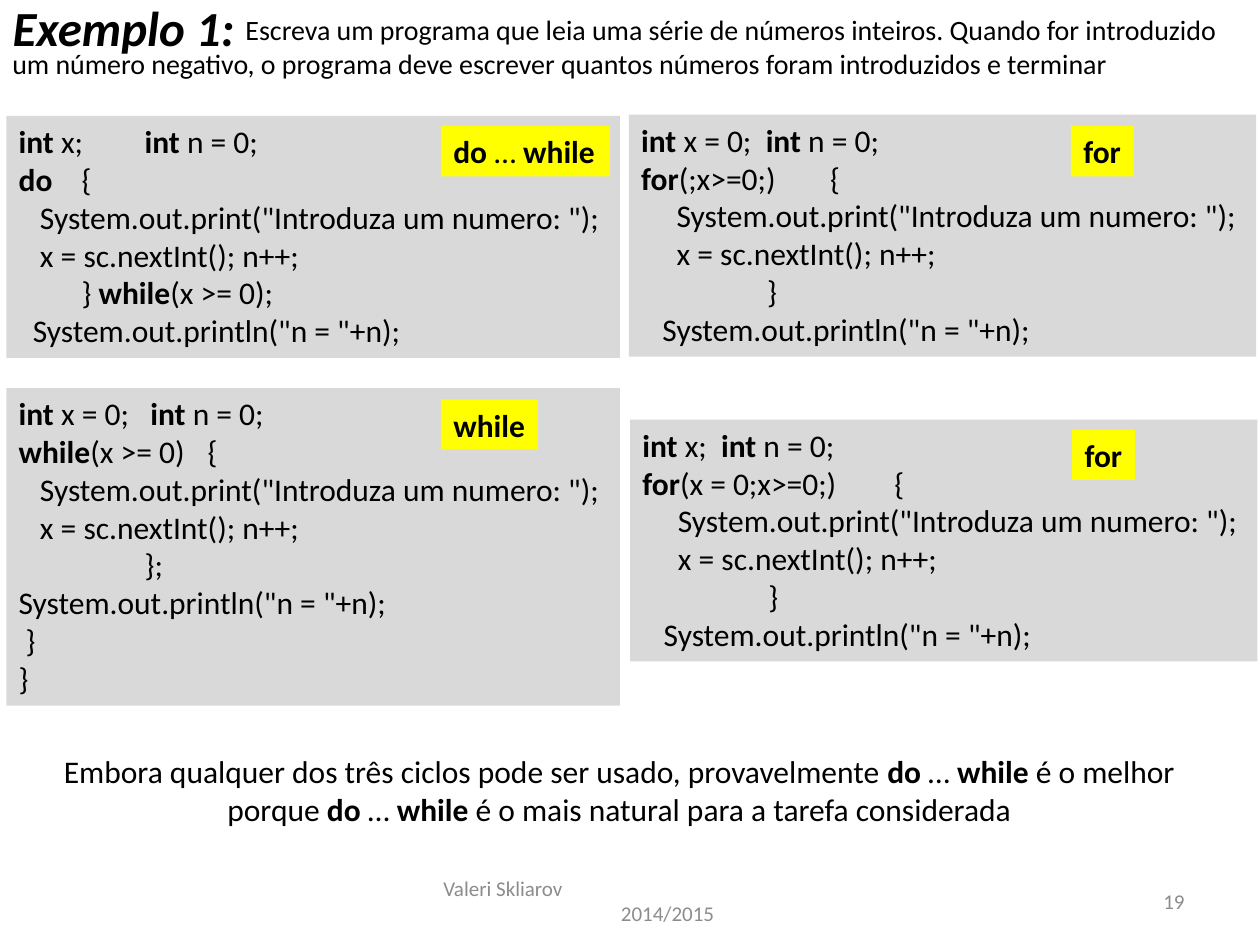
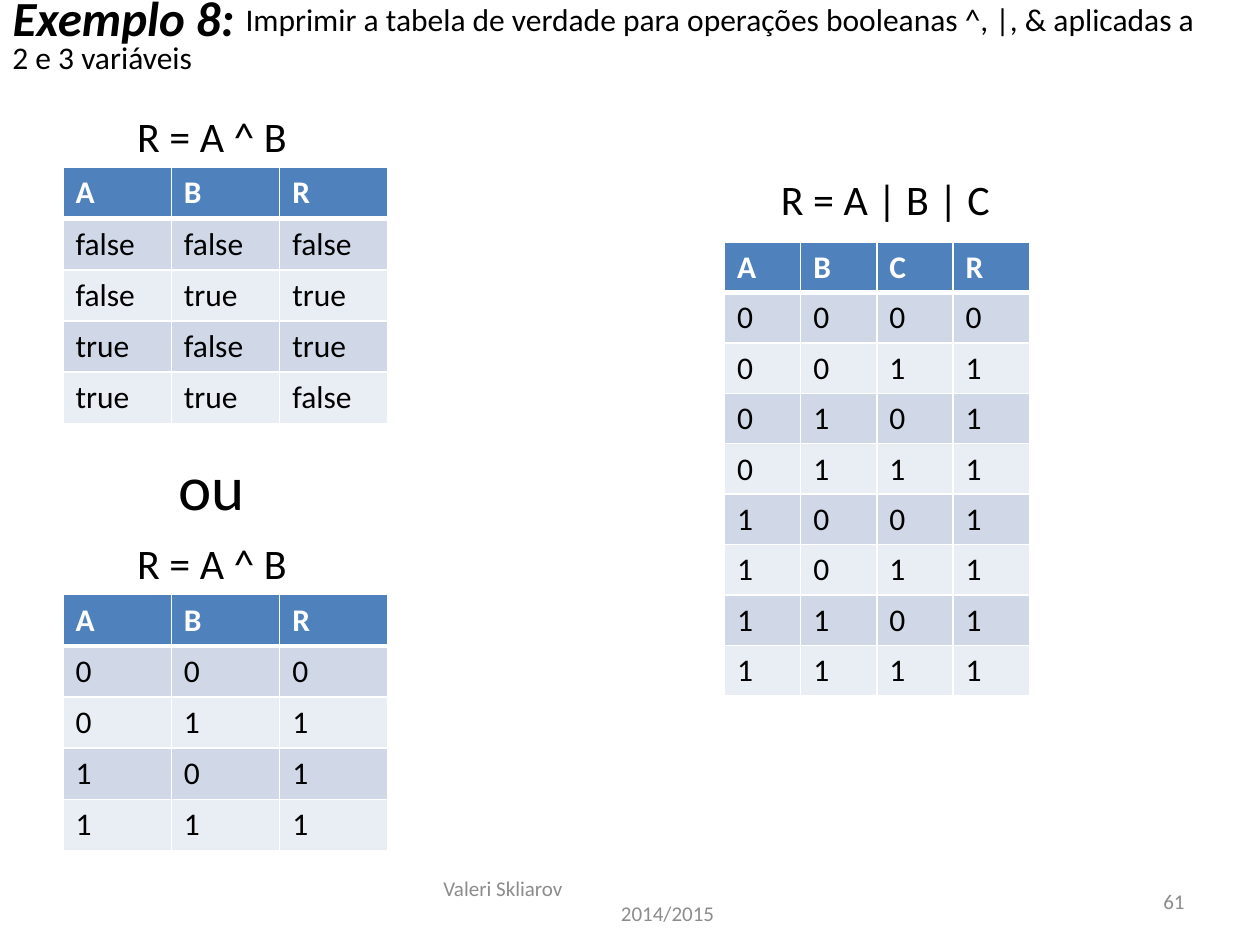
from pptx import Presentation
from pptx.dml.color import RGBColor
from pptx.enum.text import MSO_ANCHOR, MSO_AUTO_SIZE, PP_ALIGN
from pptx.oxml.ns import qn
from pptx.util import Inches, Pt
from lxml import etree

LEFT, MID, RIGHT = PP_ALIGN.LEFT, PP_ALIGN.CENTER, PP_ALIGN.RIGHT
TOP, CENTER = MSO_ANCHOR.TOP, MSO_ANCHOR.MIDDLE
GROW, FIXED = MSO_AUTO_SIZE.SHAPE_TO_FIT_TEXT, MSO_AUTO_SIZE.NONE


class Theme:
    font = "Calibri"
    ink, white, gray = "000000", "FFFFFF", "8C8C8C"
    panel, tag = "D9D9D9", "FFFF00"
    head, bands = "4F81BD", ("D0D8E8", "E9EDF4")
    note, small, body, label, title, big = 12, 16, 18, 24, 28, 36


def write(frame, text, size=Theme.body, color=Theme.ink, bold=False, italic=False,
          align=LEFT, indent=0):
    for i, line in enumerate(text.split("\n")):
        para = frame.add_paragraph() if i else frame.paragraphs[0]
        para.alignment = align
        if indent:
            para._p.get_or_add_pPr().set("indent", str(Inches(indent)))
        for j, part in enumerate(line.split("*")):
            if part:
                run = para.add_run()
                run.text = part
                font = run.font
                font.name, font.size = Theme.font, Pt(size)
                font.bold, font.italic = bold or j % 2 == 1, italic
                font.color.rgb = RGBColor.from_string(color)


def box(slide, at, text, fill=None, wrap=False, fit=GROW, anchor=TOP, **form):
    shape = slide.shapes.add_textbox(*map(Inches, at))
    frame = shape.text_frame
    frame.word_wrap, frame.auto_size, frame.vertical_anchor = wrap, fit, anchor
    if fill:
        shape.fill.solid()
        shape.fill.fore_color.rgb = RGBColor.from_string(fill)
    write(frame, text, **form)
    return shape


deck = Presentation()
deck.slide_width, deck.slide_height = Inches(10), Inches(7.5)

heads = [
    ("19", "Exemplo 1:", -0.07, (0, 0.05, 10, 0.64), Theme.small,
     "Escreva um programa que leia uma série de números inteiros. Quando for introduzido "
     "um número negativo, o programa deve escrever quantos números foram introduzidos e terminar"),
    ("61", "Exemplo 8:", -0.15, (0, -0.05, 9.75, 0.71), Theme.body,
     "Imprimir a tabela de verdade para operações booleanas ^, |, & aplicadas a 2 e 3 variáveis"),
]
slides = []
for page, name, top, area, size, intro in heads:
    slide = deck.slides.add_slide(deck.slide_layouts[5])
    slides.append(slide)
    title = slide.shapes.title
    title.left, title.top = Inches(0), Inches(top)
    title.width, title.height = Inches(2), Inches(0.57)
    frame = title.text_frame
    frame.word_wrap, frame.auto_size, frame.vertical_anchor = False, GROW, TOP
    write(frame, name, size=Theme.title, bold=True, italic=True)
    box(slide, area, intro, wrap=True, size=size, indent=1.85)
    foot = {"wrap": True, "fit": FIXED, "anchor": CENTER,
            "size": Theme.note, "color": Theme.gray}
    mark = box(slide, (3.42, 6.95, 3.17, 0.4), "Valeri Skliarov\n2014/2015", **foot)
    mark.text_frame.paragraphs[1]._p.get_or_add_pPr().set("indent", str(Inches(1.41)))
    box(slide, (7.17, 6.95, 2.33, 0.4), page, align=RIGHT, **foot)

loops, truth = slides

ask = 'System.out.print("Introduza um numero: ");'
read = "x = sc.nextInt(); n++;"
show = 'System.out.println("n = "+n);'
tail = f"     {ask}\n     {read}\n   \t\t}}\n   {show}"
codes = [
    ((0.05, 0.92, 4.87, 1.92), (3.5, 1, 1.34, 0.4), "*do* … *while*",
     f"*int *x;\t*int *n = 0;\n*do\t*{{\n   {ask}\n   {read}\n  \t}} *while*(x >= 0);\n  {show}"),
    ((0.05, 3.08, 4.87, 2.52), (3.5, 3.17, 0.77, 0.4), "*while*",
     f"*int *x = 0;   *int *n = 0;\n*while*(x >= 0)\t{{\n   {ask}\n   {read}\n"
     f"  \t\t}};\n{show}\n }}\n}}"),
    ((4.99, 0.91, 4.98, 1.92), (8.5, 1, 0.5, 0.4), "*for*",
     f"*int* x = 0;  *int* n = 0;\n*for*(;x>=0;)\t{{\n{tail}"),
    ((5, 3.33, 4.98, 1.92), (8.51, 3.41, 0.5, 0.4), "*for*",
     f"*int *x;  *int* n = 0;\n*for*(x = 0;x>=0;)\t{{\n{tail}"),
]
for area, spot, tag, code in codes:
    box(loops, area, code, fill=Theme.panel)
    box(loops, spot, tag, fill=Theme.tag)
box(loops, (0.33, 5.92, 9.17, 0.71),
    "Embora qualquer dos três ciclos pode ser usado, provavelmente *do* … *while* é o melhor "
    "porque *do* … *while* é o mais natural para a tarefa considerada", wrap=True, align=MID)

grids = [
    ((0.5, 1.33, 2.58, 2.03), (0.99, 0.83, 1.4, 0.5), "R = A ^ B",
     "A B R|false false false|false true true|true false true|true true false"),
    ((0.5, 4.72, 2.58, 2.03), (0.99, 4.22, 1.4, 0.5), "R = A ^ B",
     "A B R|0 0 0|0 1 1|1 0 1|1 1 1"),
    ((5.75, 1.92, 2.42, 3.6), (6.1, 1.33, 1.87, 0.5), "R = A | B | C",
     "A B C R|0 0 0 0|0 0 1 1|0 1 0 1|0 1 1 1|1 0 0 1|1 0 1 1|1 1 0 1|1 1 1 1"),
]
for area, spot, label, data in grids:
    box(truth, spot, label, size=Theme.label)
    rows = [row.split() for row in data.split("|")]
    table = truth.shapes.add_table(len(rows), len(rows[0]), *map(Inches, area)).table
    table.horz_banding = False
    for r, row in enumerate(rows):
        for c, value in enumerate(row):
            cell = table.cell(r, c)
            props = cell._tc.get_or_add_tcPr()
            for side in "LRTB":
                thick = (r, side) in ((0, "B"), (1, "T"))
                line = etree.SubElement(props, qn("a:ln" + side), w=str(Pt(3 if thick else 1)))
                paint = etree.SubElement(line, qn("a:solidFill"))
                etree.SubElement(paint, qn("a:srgbClr"), val=Theme.white)
            cell.fill.solid()
            tint = Theme.bands[(r - 1) % 2] if r else Theme.head
            cell.fill.fore_color.rgb = RGBColor.from_string(tint)
            write(cell.text_frame, value, bold=r == 0, color=Theme.ink if r else Theme.white)
box(truth, (1.32, 3.5, 0.73, 0.71), "ou", size=Theme.big)

deck.save("out.pptx")
